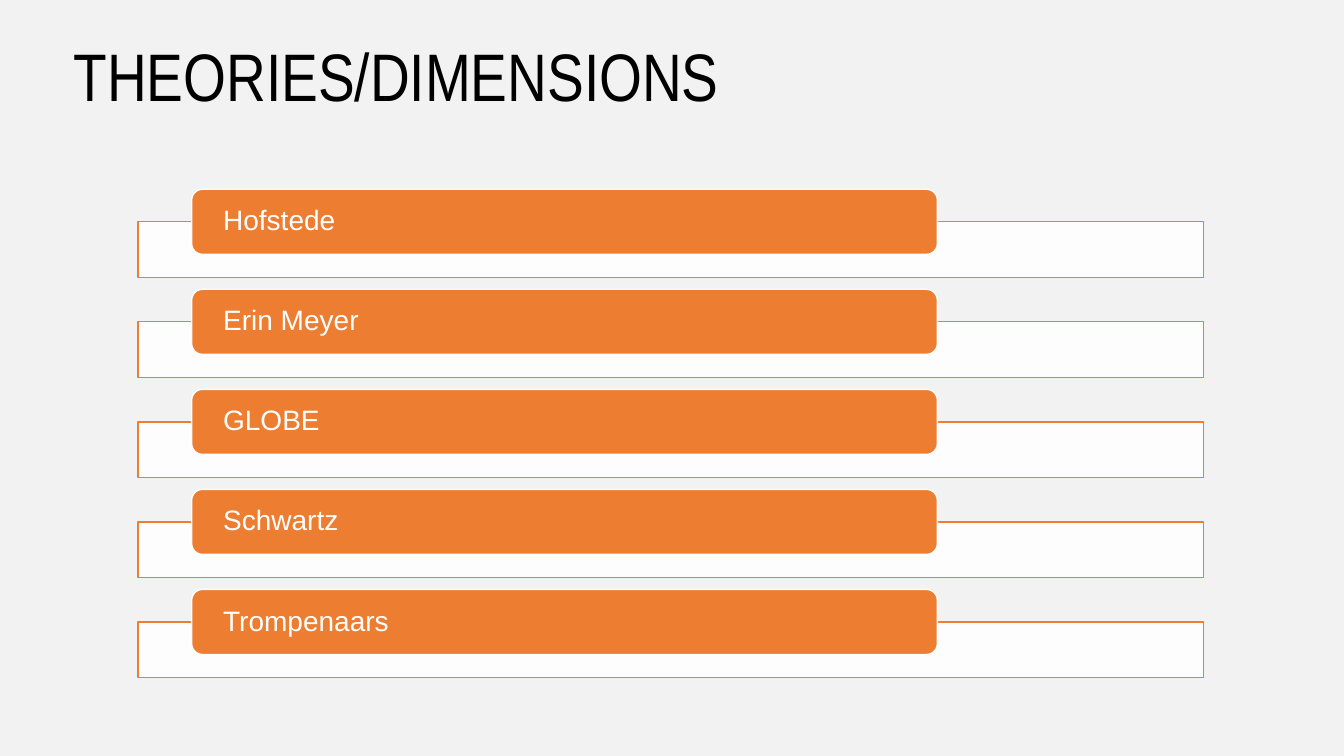
"""Build the slide that lists five theories of culture as labelled bars."""
import dataclasses
import lxml.etree
import pptx
import pptx.dml.color
import pptx.enum.shapes
import pptx.enum.text
import pptx.oxml.ns
import pptx.shapes.autoshape
import pptx.slide
import pptx.util

Pt = pptx.util.Pt
Kind = pptx.enum.shapes.MSO_SHAPE

HUES = {"back": "F2F2F2", "main": "ED7D31", "white": "FFFFFF", "black": "000000"}
NAMES = ["Hofstede", "Erin Meyer", "GLOBE", "Schwartz", "Trompenaars"]
PITCH = 71.46


@dataclasses.dataclass(frozen=True)
class Block:
    kind: Kind
    left: float
    top: float
    width: float
    height: float
    fill: str
    line: str
    alpha: int = 100


BAR = Block(Kind.RECTANGLE, 98.6, 158.4, 761, 39.7, "white", "main", 90)
PILL = Block(Kind.ROUNDED_RECTANGLE, 136.9, 135.2, 532.7, 46.5, "main", "white")


def get_hue(name: str) -> pptx.dml.color.RGBColor:
    return pptx.dml.color.RGBColor.from_string(HUES[name])


def draw_block(slide: pptx.slide.Slide, block: Block,
               shift: float) -> pptx.shapes.autoshape.Shape:
    shape = slide.shapes.add_shape(
        block.kind, Pt(block.left), Pt(block.top + shift),
        Pt(block.width), Pt(block.height))
    shape.shadow.inherit = False
    shape.fill.solid()
    shape.fill.fore_color.rgb = get_hue(block.fill)
    shape.line.color.rgb = get_hue(block.line)
    shape.line.width = Pt(1)
    if block.alpha < 100:
        tag = pptx.oxml.ns.qn
        tint = shape.fill._xPr.find(tag("a:solidFill")).find(tag("a:srgbClr"))
        lxml.etree.SubElement(tint, tag("a:alpha"), val=str(block.alpha * 1000))
    return shape


def set_text(shape: pptx.shapes.autoshape.Shape, text: str, *, font: str,
             size: float, hue: str, pad: float, edge: float,
             space: float) -> None:
    frame = shape.text_frame
    frame.word_wrap = True
    frame.vertical_anchor = pptx.enum.text.MSO_ANCHOR.MIDDLE
    frame.margin_left = frame.margin_right = Pt(pad)
    frame.margin_top = frame.margin_bottom = Pt(edge)
    line = frame.paragraphs[0]
    line.alignment = pptx.enum.text.PP_ALIGN.LEFT
    line.line_spacing = space
    run = line.add_run()
    run.text = text
    run.font.name = font
    run.font.size = Pt(size)
    run.font.color.rgb = get_hue(hue)


def main() -> None:
    deck = pptx.Presentation()
    deck.slide_width, deck.slide_height = Pt(960), Pt(540)
    slide = deck.slides.add_slide(deck.slide_layouts[6])
    slide.background.fill.solid()
    slide.background.fill.fore_color.rgb = get_hue("back")

    title = slide.shapes.add_textbox(Pt(45.4), Pt(28), Pt(715), Pt(60))
    set_text(title, "THEORIES/DIMENSIONS", font="Arial Narrow", size=48,
             hue="black", pad=7.2, edge=3.6, space=0.85)

    for row, name in enumerate(NAMES):
        draw_block(slide, BAR, row * PITCH)
        pill = draw_block(slide, PILL, row * PITCH)
        set_text(pill, name, font="Arial", size=20, hue="white",
                 pad=20.2, edge=0, space=0.9)

    deck.save("out.pptx")


if __name__ == "__main__":
    main()
